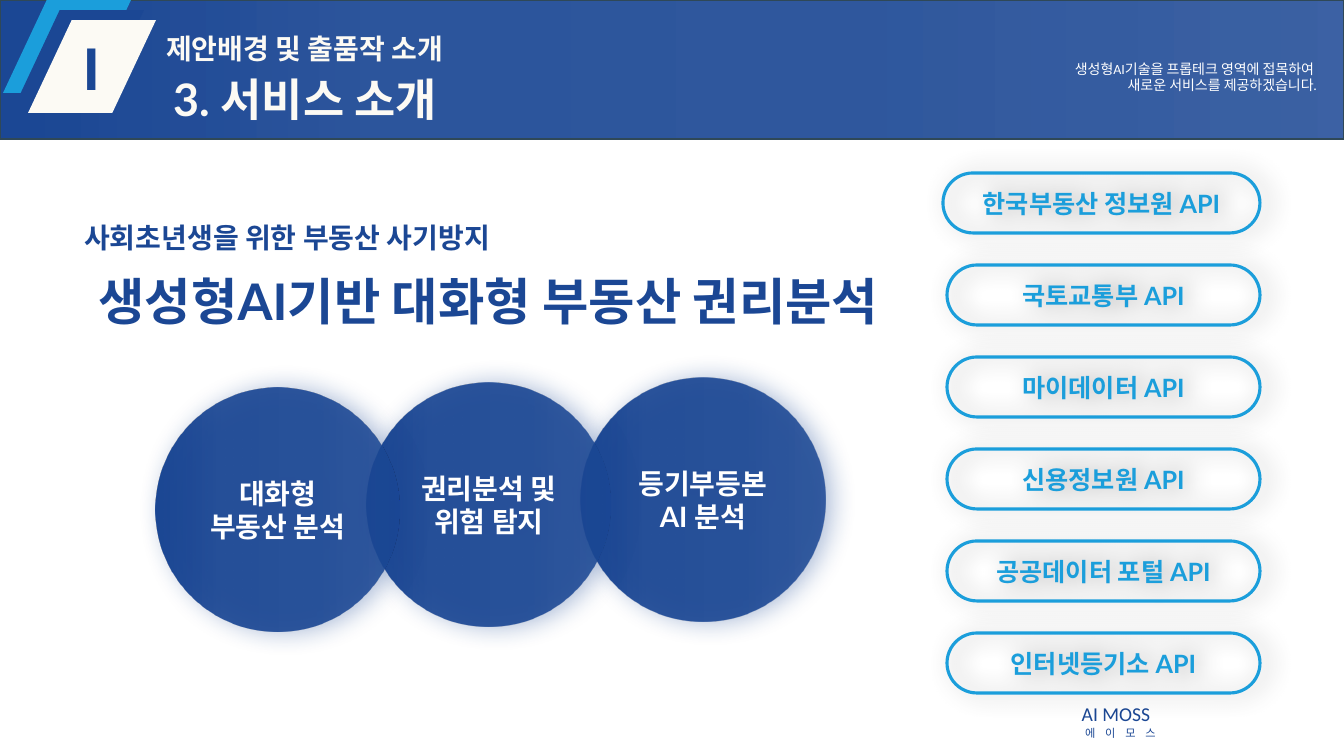
from lxml.etree import SubElement
from pptx import Presentation
from pptx.dml.color import RGBColor
from pptx.enum.shapes import MSO_SHAPE
from pptx.enum.text import MSO_ANCHOR, MSO_AUTO_SIZE, PP_ALIGN
from pptx.oxml import parse_xml
from pptx.oxml.ns import nsdecls, qn
from pptx.util import Emu, Pt

PX = 914400 / 100.8
NAVY = RGBColor(0x1B, 0x47, 0x94)
SKY = RGBColor(0x1B, 0x9E, 0xDB)
CREAM = RGBColor(0xFC, 0xFA, 0xF4)
WHITE = RGBColor(0xFF, 0xFF, 0xFF)
SLATE = RGBColor(0x2F, 0x48, 0x57)
BLACK = RGBColor(0, 0, 0)
KOREAN = "Noto Sans CJK KR"
LEFT, CENTER, RIGHT = PP_ALIGN.LEFT, PP_ALIGN.CENTER, PP_ALIGN.RIGHT


def write(owner, lines, size, color, face="Lato", bold=True, align=CENTER,
          inset=(0, 0), anchor=MSO_ANCHOR.TOP, fit=MSO_AUTO_SIZE.NONE, leading=None, tracking=0):
    frame = owner.text_frame
    side, top = (Emu(round(gap * PX)) for gap in inset)
    layout = {"margin_left": side, "margin_right": side, "margin_top": top, "margin_bottom": top,
              "word_wrap": True, "vertical_anchor": anchor, "auto_size": fit}
    for name, value in layout.items():
        setattr(frame, name, value)
    for number, line in enumerate(lines):
        paragraph = frame.add_paragraph() if number else frame.paragraphs[0]
        paragraph.alignment = align
        paragraph.line_spacing = leading
        run = paragraph.add_run()
        run.text = line
        run.font.color.rgb = color
        for name, value in {"size": Pt(size), "bold": bold, "name": face}.items():
            setattr(run.font, name, value)
        properties = run.font._element
        SubElement(properties, qn("a:ea")).set("typeface", KOREAN)
        if tracking:
            properties.set("spc", str(tracking * 100))


def draw(preset, box, fill=None, line=None, width=1, shadow=None):
    shape = slide.shapes.add_shape(preset, *(Emu(round(n * PX)) for n in box))
    shape.shadow.inherit = False
    if fill == "fade":
        shape.fill.background()
        stops = "".join(
            f'<a:gs pos="{pos}000"><a:srgbClr val="{NAVY}"><a:alpha val="{alpha}000"/></a:srgbClr></a:gs>'
            for pos, alpha in ((0, 85), (34, 90), (74, 92), (83, 95), (100, 100)))
        fade = parse_xml(f'<a:gradFill {nsdecls("a")} rotWithShape="1"><a:gsLst>{stops}</a:gsLst>'
                         '<a:lin ang="10800000" scaled="0"/></a:gradFill>')
        properties = shape._element.spPr
        properties.replace(properties.find(qn("a:noFill")), fade)
    elif fill is not None:
        shape.fill.solid()
        shape.fill.fore_color.rgb = fill
    else:
        shape.fill.background()
    if line is not None:
        shape.line.color.rgb = line
        shape.line.width = Pt(width)
    else:
        shape.line.fill.background()
    if shadow is not None:
        shape._element.spPr.find(qn("a:effectLst")).append(parse_xml(
            f'<a:outerShdw {nsdecls("a")} blurRad="{Pt(18)}" dist="{Pt(5)}" dir="0" algn="l" rotWithShape="0">'
            f'<a:srgbClr val="{shadow}"><a:alpha val="40000"/></a:srgbClr></a:outerShdw>'))
    return shape


deck = Presentation()
deck.slide_width, deck.slide_height = Emu(round(1344 * PX)), Emu(round(756 * PX))
slide = deck.slides.add_slide(deck.slide_layouts[6])

draw(MSO_SHAPE.RECTANGLE, (0, 0, 1344, 139), "fade", SLATE)
for x, y, color in ((3, 0, SKY), (16, 10, NAVY), (28, 20, CREAM)):
    badge = draw(MSO_SHAPE.PARALLELOGRAM, (x, y, 128, 93), color)
    badge.adjustments[0] = 0.47

GROW = MSO_AUTO_SIZE.SHAPE_TO_FIT_TEXT
captions = (
    ((1073, 726, 95, 13), ["에이모스"], 8, NAVY,
     {"face": "Calibri", "bold": False, "inset": (4, 0), "tracking": 7, "fit": GROW}),
    ((1058, 702, 116, 24), ["AI MOSS"], 14, NAVY,
     {"face": "Calibri", "bold": False, "inset": (4, 0), "fit": GROW}),
    ((166, 31, 635, 34), ["제안배경 및 출품작 소개"], 20, CREAM, {"align": LEFT, "fit": GROW}),
    ((29, 35, 126, 68), ["I"], 40, NAVY, {"face": KOREAN, "fit": GROW}),
    ((165, 65, 1099, 75), ["3. 서비스 소개"], 32, CREAM,
     {"align": LEFT, "inset": (8, 4), "anchor": MSO_ANCHOR.MIDDLE, "leading": 0.9}),
    ((58, 265, 861, 72), ["생성형AI기반 대화형 부동산 권리분석"], 36, NAVY, {"inset": (10, 5), "fit": GROW}),
    ((74, 215, 737, 44), ["사회초년생을 위한 부동산 사기방지"], 20, NAVY,
     {"align": LEFT, "inset": (10, 5), "fit": GROW}),
    ((582, 55, 745, 44), ["생성형AI기술을 프롭테크 영역에 접목하여 ", "새로운 서비스를 제공하겠습니다."], 10, WHITE,
     {"face": "Calibri", "bold": False, "align": RIGHT, "inset": (10, 5), "fit": GROW}),
)
for box, lines, size, color, style in captions:
    caption = slide.shapes.add_textbox(*(Emu(round(n * PX)) for n in box))
    write(caption, lines, size, color, **style)

features = (
    (581, 378, ["등기부등본", "AI 분석"]),
    (367, 383, ["권리분석 및", "위험 탐지"]),
    (156, 388, ["대화형", "부동산 분석"]),
)
for x, y, lines in features:
    feature = draw(MSO_SHAPE.OVAL, (x, y, 244, 244), "fade", shadow=NAVY)
    write(feature, lines, 20, WHITE, anchor=MSO_ANCHOR.MIDDLE)

sources = ("한국부동산 정보원", "국토교통부", "마이데이터", "신용정보원", "공공데이터 포털", "인터넷등기소")
for row, source in enumerate(sources):
    x = 947 if row else 943
    pill = draw(MSO_SHAPE.ROUNDED_RECTANGLE, (x, 173 + 92 * row, 1260 - x, 60),
                line=SKY, width=2.25, shadow=BLACK)
    pill.adjustments[0] = 0.5
    write(pill, [f"{source} API"], 18, SKY, inset=(10, 5), anchor=MSO_ANCHOR.MIDDLE)

deck.save("out.pptx")
